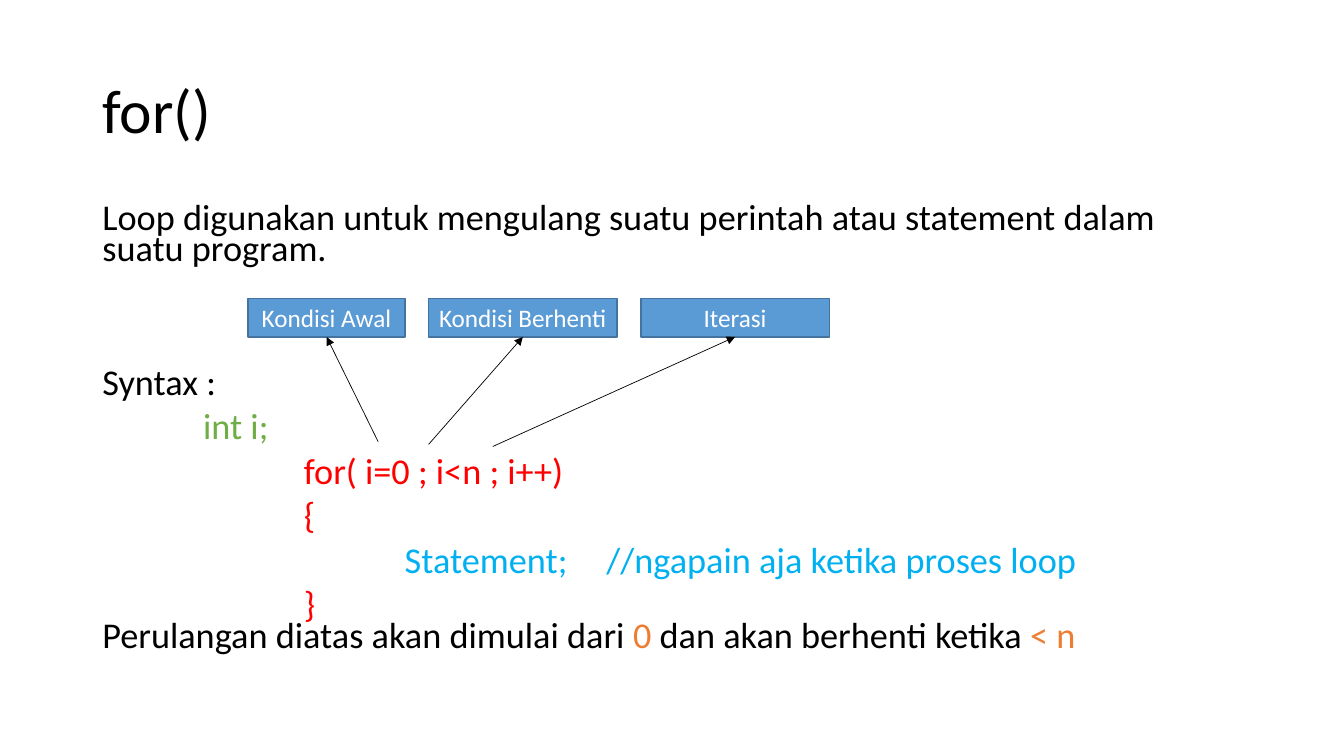
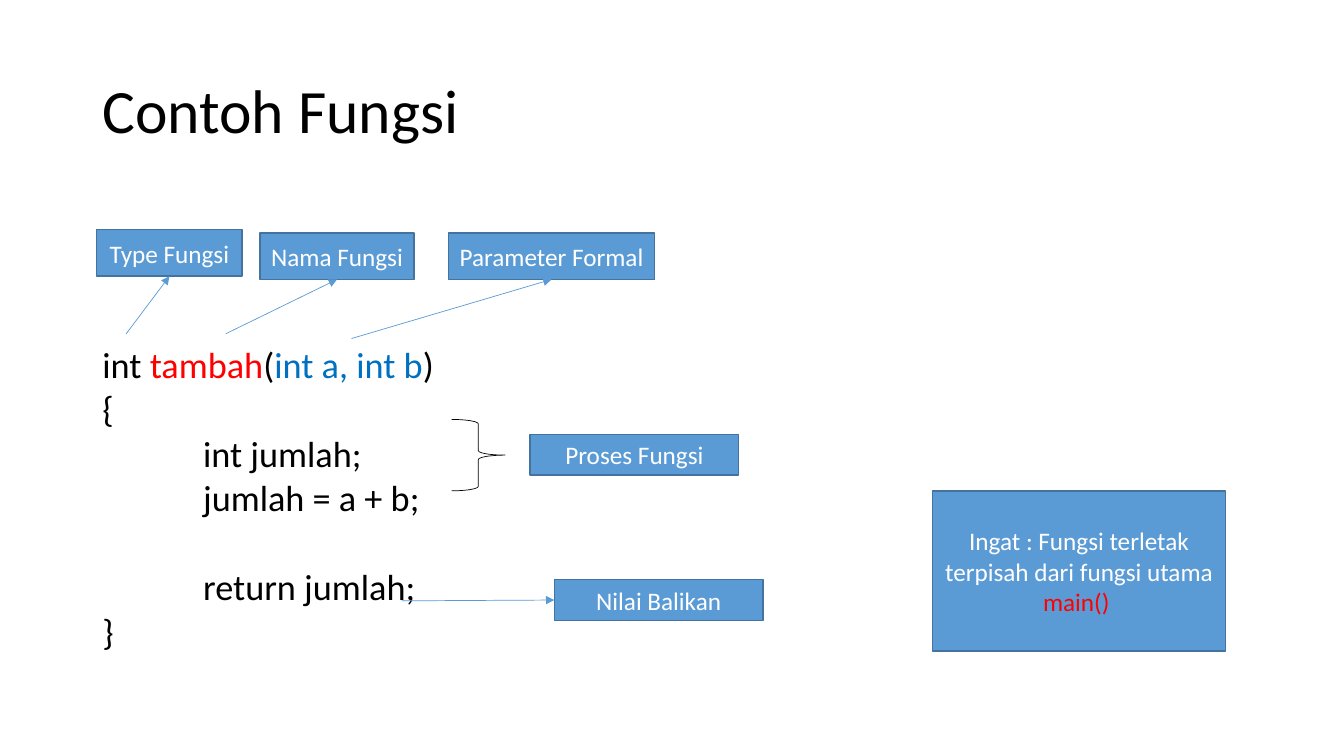
"""Build two teaching slides on loops and functions."""
from dataclasses import dataclass

from lxml import etree
from pptx import Presentation
from pptx.dml.color import RGBColor
from pptx.enum.shapes import MSO_CONNECTOR, MSO_SHAPE
from pptx.enum.text import MSO_ANCHOR, PP_ALIGN
from pptx.oxml.ns import qn
from pptx.presentation import Presentation as Deck
from pptx.slide import Slide
from pptx.text.text import _Paragraph as Para
from pptx.util import Cm, Pt

STRAIGHT = MSO_CONNECTOR.STRAIGHT
RECTANGLE = MSO_SHAPE.RECTANGLE
RIGHT_BRACE = MSO_SHAPE.RIGHT_BRACE
MIDDLE, TOP = MSO_ANCHOR.MIDDLE, MSO_ANCHOR.TOP
CENTER, LEFT = PP_ALIGN.CENTER, PP_ALIGN.LEFT
LEFT_SITE, BOTTOM_SITE = 1, 2
BLANK_LAYOUT = 6


@dataclass(frozen=True)
class Theme:
    """Colours, type sizes and spacing shared by the slides."""
    font: str = "Calibri"
    black: str = "000000"
    white: str = "FFFFFF"
    red: str = "FF0000"
    green: str = "70AD47"
    sky: str = "00B0F0"
    blue: str = "0070C0"
    orange: str = "ED7D31"
    label_fill: str = "5B9BD5"
    label_line: str = "43739E"
    title_size: float = 44
    body_size: float = 25.9
    label_size: float = 18
    title_spacing: float = 0.9
    body_spacing: float = 0.7
    gap: float = 10
    line_pitch: float = 32
    indent: float = 2.54
    outline: float = 1
    thin: float = 0.5


THEME = Theme()


@dataclass(frozen=True)
class Frame:
    """Position and size in centimetres."""
    left: float
    top: float
    width: float
    height: float

    def lengths(self) -> tuple[Cm, Cm, Cm, Cm]:
        """Return the four lengths for a shape call."""
        return Cm(self.left), Cm(self.top), Cm(self.width), Cm(self.height)


@dataclass(frozen=True)
class Span:
    """Text in one colour."""
    text: str
    color: str = THEME.black


@dataclass(frozen=True)
class Line:
    """A body paragraph with its indent level and space before."""
    spans: tuple[Span, ...]
    level: int = 0
    before: float = THEME.gap


@dataclass(frozen=True)
class Label:
    """A filled box, optionally pointed at by an arrow."""
    frame: Frame
    spans: tuple[Span, ...]
    arrow_start: tuple[float, float] | None = None
    site: int = BOTTOM_SITE


@dataclass(frozen=True)
class Page:
    """The content of one slide."""
    title: str
    body: Frame
    lines: tuple[Line, ...]
    labels: tuple[Label, ...]
    arrow_color: str
    brace: Frame | None = None


def rgb(color: str) -> RGBColor:
    """Convert a hex colour."""
    return RGBColor.from_string(color)


def one(text: str, color: str = THEME.black, level: int = 0,
        before: float = THEME.gap) -> Line:
    """Make a line with a single span."""
    return Line((Span(text, color),), level, before)


def label(text: str, frame: Frame, arrow_start: tuple[float, float] | None = None,
          site: int = BOTTOM_SITE) -> Label:
    """Make a label with white text."""
    return Label(frame, (Span(text, THEME.white),), arrow_start, site)


def add_spans(para: Para, spans: tuple[Span, ...], size: float) -> None:
    """Add the spans as runs."""
    for span in spans:
        run = para.add_run()
        run.text = span.text
        run.font.name = THEME.font
        run.font.size = Pt(size)
        run.font.color.rgb = rgb(span.color)


def add_text(slide: Slide, frame: Frame, lines: tuple[Line, ...], size: float,
             spacing: float, anchor: MSO_ANCHOR) -> None:
    """Draw a wrapped text box with indented lines."""
    text_frame = slide.shapes.add_textbox(*frame.lengths()).text_frame
    text_frame.word_wrap = True
    text_frame.vertical_anchor = anchor
    for index, line in enumerate(lines):
        para = text_frame.add_paragraph() if index else text_frame.paragraphs[0]
        para.alignment = LEFT
        para.line_spacing = spacing
        para.space_before = Pt(line.before)
        if line.level:
            properties = para._p.get_or_add_pPr()
            properties.set("marL", str(Cm(line.level * THEME.indent)))
            properties.set("indent", "0")
        add_spans(para, line.spans, size)


def add_label(slide: Slide, item: Label, arrow_color: str) -> None:
    """Draw a label and the arrow that points at it."""
    box = slide.shapes.add_shape(RECTANGLE, *item.frame.lengths())
    box.shadow.inherit = False
    box.fill.solid()
    box.fill.fore_color.rgb = rgb(THEME.label_fill)
    box.line.color.rgb = rgb(THEME.label_line)
    box.line.width = Pt(THEME.outline)
    box.text_frame.word_wrap = True
    box.text_frame.vertical_anchor = MIDDLE
    para = box.text_frame.paragraphs[0]
    para.alignment = CENTER
    add_spans(para, item.spans, THEME.label_size)
    if item.arrow_start:
        left, top = (Cm(value) for value in item.arrow_start)
        arrow = slide.shapes.add_connector(STRAIGHT, left, top, left, top)
        arrow.end_connect(box, item.site)
        arrow.line.color.rgb = rgb(arrow_color)
        arrow.line.width = Pt(THEME.thin)
        etree.SubElement(arrow.line._get_or_add_ln(), qn("a:tailEnd"), type="triangle")
        etree.SubElement(arrow._element.spPr, qn("a:effectLst"))


def add_brace(slide: Slide, frame: Frame) -> None:
    """Draw a thin right brace."""
    brace = slide.shapes.add_shape(RIGHT_BRACE, *frame.lengths())
    brace.shadow.inherit = False
    brace.fill.background()
    brace.line.color.rgb = rgb(THEME.black)
    brace.line.width = Pt(THEME.thin)


def add_page(deck: Deck, page: Page) -> None:
    """Draw one slide."""
    slide = deck.slides.add_slide(deck.slide_layouts[BLANK_LAYOUT])
    add_text(slide, Frame(2.33, 1.02, 29.21, 3.68), (one(page.title, before=0),),
             THEME.title_size, THEME.title_spacing, MIDDLE)
    add_text(slide, page.body, page.lines, THEME.body_size, THEME.body_spacing, TOP)
    for item in page.labels:
        add_label(slide, item, page.arrow_color)
    if page.brace:
        add_brace(slide, page.brace)


LOOP_PAGE = Page(
    title="for()",
    body=Frame(2.33, 5.08, 29.21, 12.09),
    lines=(
        one("Loop digunakan untuk mengulang suatu perintah atau statement dalam "
            "suatu program."),
        one("Syntax :", before=THEME.gap + 2 * THEME.line_pitch),
        one("int i;", THEME.green, 1),
        one("for( i=0 ; i<n ; i++)", THEME.red, 2),
        one("{", THEME.red, 2),
        one("Statement;\t//ngapain aja ketika proses loop", THEME.sky, 3),
        one("}", THEME.red, 2),
        Line((Span("Perulangan diatas akan dimulai dari "), Span("0 ", THEME.orange),
              Span("dan akan berhenti ketika"), Span(" < n", THEME.orange)), before=0),
    ),
    labels=(
        label("Kondisi Awal", Frame(6.25, 7.52, 3.96, 0.97), (9.53, 11.13)),
        label("Kondisi Berhenti", Frame(10.8, 7.52, 4.75, 0.97), (10.8, 11.2)),
        label("Iterasi", Frame(16.15, 7.52, 4.75, 0.97), (12.42, 11.25)),
    ),
    arrow_color=THEME.black,
)

FUNCTION_PAGE = Page(
    title="Contoh Fungsi",
    body=Frame(2.33, 8.79, 29.21, 8.38),
    lines=(
        Line((Span("int "), Span("tambah", THEME.red), Span("("),
              Span("int a, int b", THEME.blue), Span(")"))),
        one("{"),
        one("int jumlah;", level=1),
        one("jumlah = a + b;", level=1),
        one("return jumlah;", level=1, before=THEME.gap + THEME.line_pitch),
        one("}"),
    ),
    labels=(
        label("Type Fungsi", Frame(2.44, 5.79, 3.66, 1.17), (3.18, 8.41)),
        label("Nama Fungsi", Frame(6.55, 5.87, 3.89, 1.17), (5.69, 8.41)),
        label("Parameter Formal", Frame(11.3, 5.87, 5.2, 1.17), (8.86, 8.53)),
        label("Proses Fungsi", Frame(13.36, 10.95, 5.26, 1.02)),
        label("Nilai Balikan", Frame(13.97, 14.61, 5.26, 1.02), (10.13, 15.14), LEFT_SITE),
        Label(Frame(23.5, 12.37, 7.39, 4.04),
              (Span("Ingat : Fungsi terletak terpisah dari fungsi utama ", THEME.white),
               Span("main() ", THEME.red))),
    ),
    arrow_color=THEME.label_fill,
    brace=Frame(11.38, 10.57, 1.35, 1.8),
)


def main() -> None:
    """Build and save the deck."""
    deck = Presentation()
    deck.slide_width, deck.slide_height = Cm(33.87), Cm(19.05)
    for page in (LOOP_PAGE, FUNCTION_PAGE):
        add_page(deck, page)
    deck.save("out.pptx")


main()
